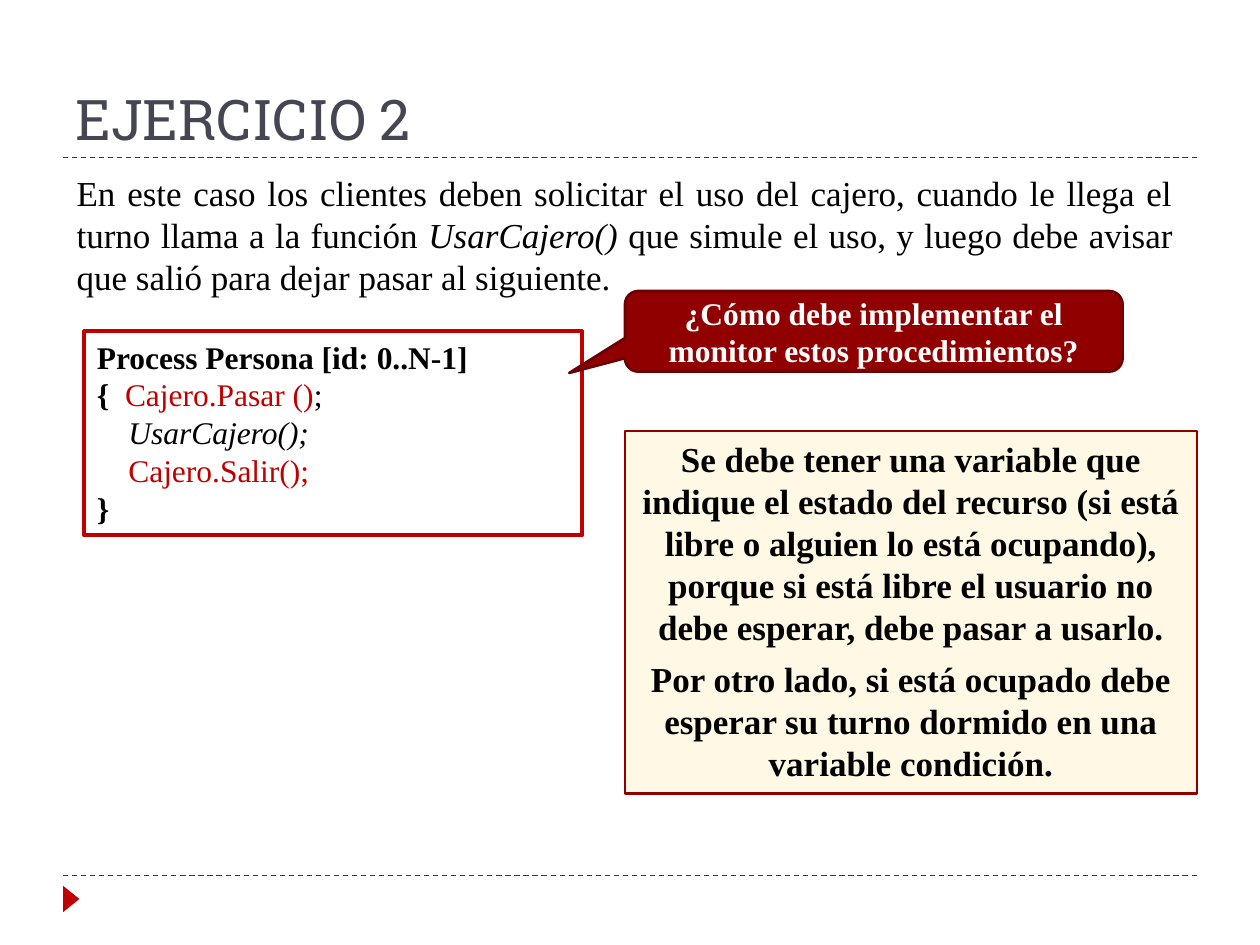
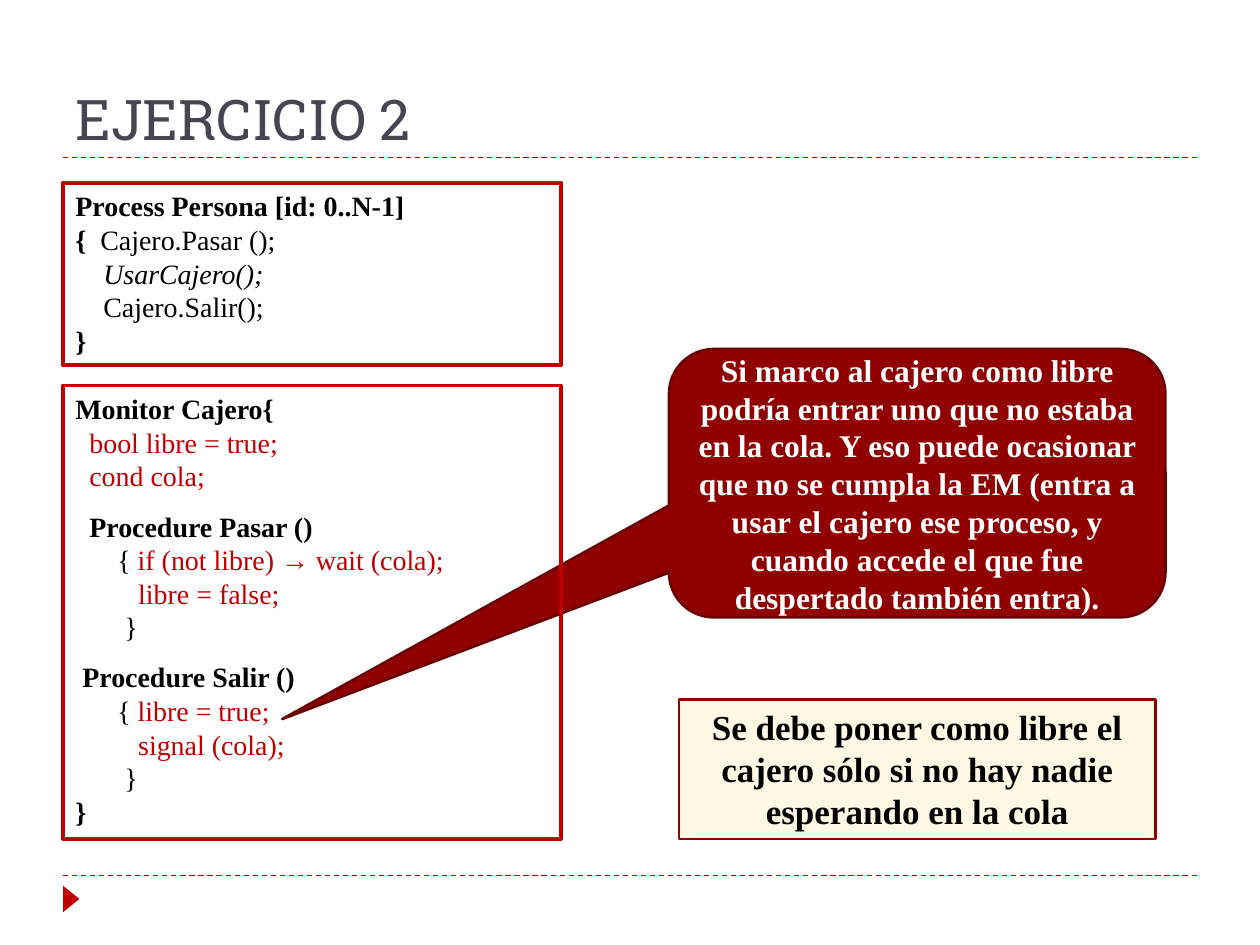
from lxml import etree
from pptx import Presentation
from pptx.dml.color import RGBColor
from pptx.enum.dml import MSO_LINE
from pptx.enum.shapes import MSO_CONNECTOR, MSO_SHAPE
from pptx.enum.text import MSO_ANCHOR, PP_ALIGN
from pptx.oxml.ns import qn
from pptx.util import Inches, Pt

RED = RGBColor(0xC0, 0x00, 0x00)
WINE = RGBColor(0x90, 0x00, 0x00)
DARK = RGBColor(0x6B, 0x00, 0x00)
CREAM = RGBColor(0xFE, 0xF8, 0xE4)
SLATE = RGBColor(0x46, 0x46, 0x53)
BLACK = RGBColor(0x00, 0x00, 0x00)
WHITE = RGBColor(0xFF, 0xFF, 0xFF)

LEFT, CENTER, JUST = PP_ALIGN.LEFT, PP_ALIGN.CENTER, PP_ALIGN.JUSTIFY
TOP, MIDDLE, BOTTOM = MSO_ANCHOR.TOP, MSO_ANCHOR.MIDDLE, MSO_ANCHOR.BOTTOM
RECT, TRI = MSO_SHAPE.RECTANGLE, MSO_SHAPE.ISOSCELES_TRIANGLE
CALL = MSO_SHAPE.ROUNDED_RECTANGULAR_CALLOUT
STRAIGHT, DASH = MSO_CONNECTOR.STRAIGHT, MSO_LINE.DASH

# Grid of 100 columns by 75 rows
WIDTH, HEIGHT = Inches(10), Inches(7.5)
COLS, ROWS = 100, 75
EDGE, END = 5, 95
SERIF, SLAB = "Times New Roman", "Roboto Slab"

# Run formats
PLAIN = {"bold": False, "italic": False, "color": BLACK}
BOLD = {**PLAIN, "bold": True}
SLANT = {**PLAIN, "italic": True}
HOT = {**PLAIN, "color": RED}
LIGHT = {**BOLD, "color": WHITE}
HEAD = {**PLAIN, "name": SLAB, "color": SLATE}


def col(n):
    return round(WIDTH * n / COLS)


def row(n):
    return round(HEIGHT * n / ROWS)


def place(left, top, wide, high):
    return col(left), row(top), col(wide), row(high)


def dress(font, form):
    for key, value in form.items():
        if key == "color":
            font.color.rgb = value
        else:
            setattr(font, key, value)


def write(shape, paras, size, align=LEFT, anchor=TOP, gaps=None):
    """Fill a shape; paras are lists of (text, format) runs."""
    frame = shape.text_frame
    frame.word_wrap = True
    frame.vertical_anchor = anchor
    for num, runs in enumerate(paras):
        para = frame.add_paragraph() if num else frame.paragraphs[0]
        para.alignment = align
        if gaps and num in gaps:
            para.space_before = Pt(gaps[num])
        for text, form in runs:
            run = para.add_run()
            run.text = text
            dress(run.font, {"name": SERIF, "size": Pt(size), **form})


def label(slide, spot, paras, size, **opts):
    write(slide.shapes.add_textbox(*place(*spot)), paras, size, **opts)


def block(slide, kind, spot, fill=None, edge=None, thick=1.5):
    shape = slide.shapes.add_shape(kind, *place(*spot))
    shape.shadow.inherit = False
    if fill is None:
        shape.fill.background()
    else:
        shape.fill.solid()
        shape.fill.fore_color.rgb = fill
    if edge is None:
        shape.line.fill.background()
    else:
        shape.line.color.rgb = edge
        shape.line.width = Pt(thick)
    return shape


def rule(slide, y):
    line = slide.shapes.add_connector(STRAIGHT, col(EDGE), row(y), col(END), row(y))
    line.line.color.rgb = RED
    line.line.width = Pt(0.75)
    line.line.dash_style = DASH
    etree.SubElement(line._element.spPr, qn("a:effectLst"))


def code(slide, spot, lines, size, gaps=None):
    write(block(slide, RECT, spot, edge=RED, thick=2.25), lines, size, gaps=gaps)


def bubble(slide, spot, tip, text):
    shape = block(slide, CALL, spot, WINE, DARK)
    for num, value in enumerate((*tip, 0.167)):
        shape.adjustments[num] = value
    write(shape, [[(text, LIGHT)]], 18, CENTER, MIDDLE)


def note(slide, spot, texts):
    gaps = {num: 6 for num in range(1, len(texts))}
    paras = [[(text, BOLD)] for text in texts]
    write(block(slide, RECT, spot, CREAM, WINE), paras, 20, CENTER, gaps=gaps)


def client(call, mark):
    """Code of the client process, with its calls in the given format."""
    return [
        [("Process Persona [id: 0..N-1]", BOLD)],
        [("{  ", BOLD), ("Cajero.Pasar ()", call), (";", PLAIN)],
        [("    ", PLAIN), ("UsarCajero();", SLANT)],
        [("    ", PLAIN), ("Cajero.Salir();", call)],
        [(mark, BOLD)],
    ]


def base(deck, title):
    """Blank slide with title, dashed rules and corner mark."""
    slide = deck.slides.add_slide(deck.slide_layouts[6])
    for y in (69.5, 12.5):
        rule(slide, y)
    block(slide, TRI, (4.6, 70.7, 2.1, 1.3), RED).rotation = 90
    label(slide, (EDGE, 1.7, END - EDGE, 10.8), [[(title, HEAD)]], 32, anchor=BOTTOM)
    return slide


def ask(deck):
    slide = base(deck, "EJERCICIO 2")
    label(slide, (5.1, 13.1, 89, 11.1), [[
        ("En este caso los clientes deben solicitar el uso del cajero, cuando "
         "le llega el turno llama a la función ", PLAIN),
        ("UsarCajero()", SLANT),
        (" que simule el uso, y luego debe avisar que salió para dejar pasar "
         "al siguiente.", PLAIN),
    ]], 20, align=JUST)
    code(slide, (6.7, 26.3, 39.5, 16.2), client(HOT, "}"), 18)
    bubble(slide, (49.6, 23.1, 39.5, 6.4), (-0.612, 0.516),
           "¿Cómo debe implementar el monitor estos procedimientos?")
    note(slide, (49.6, 34.2, 45.4, 28.8), [
        "Se debe tener una variable que indique el estado del recurso (si está "
        "libre o alguien lo está ocupando), porque si está libre el usuario no "
        "debe esperar, debe pasar a usarlo.",
        "Por otro lado, si está ocupado debe esperar su turno dormido en una "
        "variable condición.",
    ])


def solve(deck):
    slide = base(deck, "EJERCICIO 2")
    code(slide, (EDGE, 14.5, 39.5, 14.5), client(PLAIN, "}"), 16)
    bubble(slide, (53.1, 27.7, 39.4, 21.3), (-1.279, 0.879),
           "Si marco al cajero como libre podría entrar uno que no estaba en la "
           "cola. Y eso puede ocasionar que no se cumpla la EM (entra a usar el "
           "cajero ese proceso, y cuando accede el que fue despertado también "
           "entra).")
    code(slide, (EDGE, 30.6, 39.5, 36), [
        [("Monitor Cajero{", BOLD)],
        [("  bool libre = true;", HOT)],
        [("  cond cola;", HOT)],
        [("  Procedure Pasar ()", BOLD)],
        [("      { ", PLAIN), ("if (not libre) → wait (cola);", HOT)],
        [("         libre = false;", HOT)],
        [("       }", PLAIN)],
        [(" Procedure Salir ()", BOLD)],
        [("      { ", PLAIN), ("libre = true;", HOT)],
        [("         signal (cola);", HOT)],
        [("       }", PLAIN)],
        [("}", BOLD)],
    ], 16, gaps={3: 9.5, 7: 9.5})
    note(slide, (53.9, 55.5, 37.8, 11.1), [
        "Se debe poner como libre el cajero sólo si no hay nadie esperando en "
        "la cola",
    ])


def main():
    deck = Presentation()
    deck.slide_width, deck.slide_height = WIDTH, HEIGHT
    ask(deck)
    solve(deck)
    deck.save("out.pptx")


if __name__ == "__main__":
    main()
